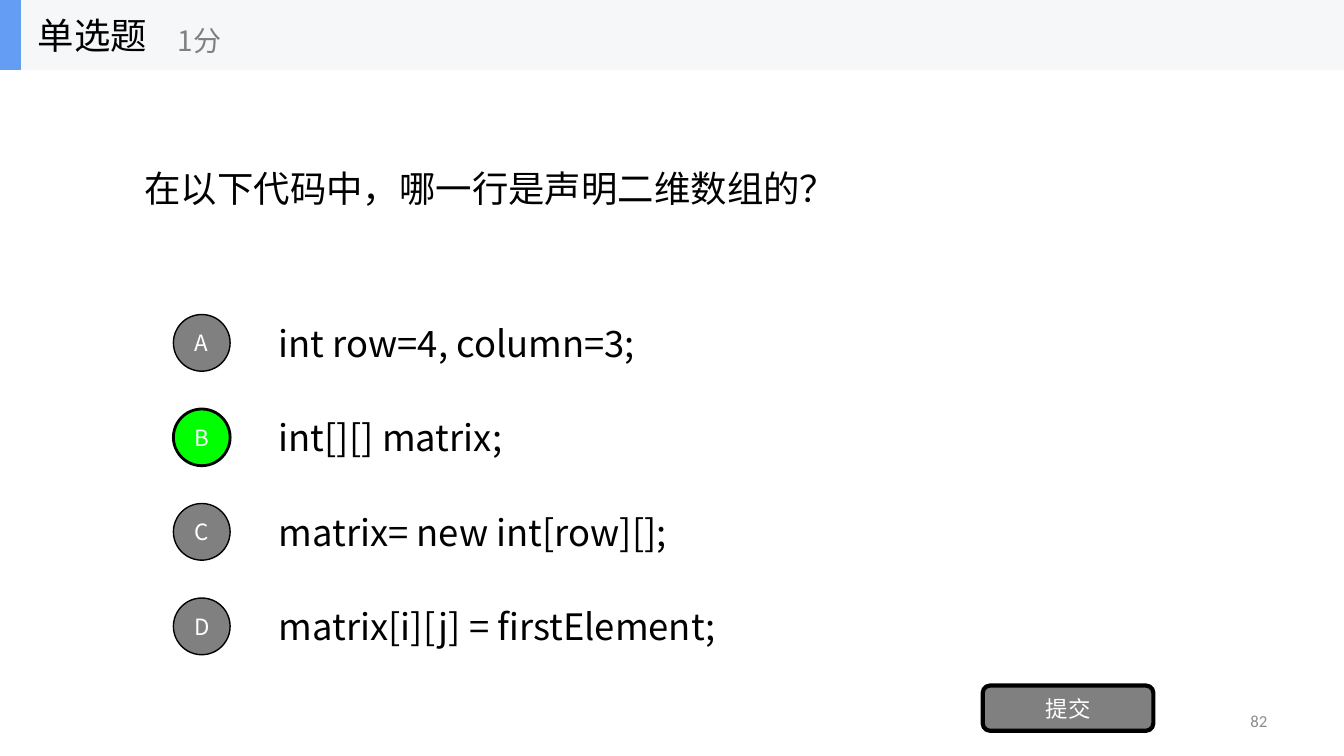
import pptx
import pptx.util
import pptx.dml.color
import pptx.enum.shapes
import pptx.enum.text
import pptx.oxml.ns
from dataclasses import dataclass
from lxml import etree

KIND = pptx.enum.shapes.MSO_SHAPE
ALIGN = pptx.enum.text.PP_ALIGN
WIDE, HIGH = 13.33, 7.5


@dataclass(frozen=True)
class Theme:
    font: str = "Noto Sans CJK SC"
    digit: str = "Calibri"
    ink: str = "000000"
    pale: str = "FFFFFF"
    gray: str = "808080"
    faint: str = "8C8C8C"
    right: str = "00FF00"
    band: str = "F6F7F8"
    blue: str = "639EF4"
    body: int = 26
    score: int = 20
    label: int = 16
    page: int = 12


THEME = Theme()


def color(code):
    return pptx.dml.color.RGBColor.from_string(code)


def grid(col, row, cols, rows):
    """Turn a box on a grid of 100 columns by 100 rows into slide lengths."""
    across, down = WIDE / 100, HIGH / 100
    sizes = (col * across, row * down, cols * across, rows * down)
    return [pptx.util.Inches(size) for size in sizes]


def write(shape, text, size=THEME.body, ink=THEME.ink, font=THEME.font,
          align=ALIGN.LEFT, inset=0.1):
    frame = shape.text_frame
    frame.word_wrap = True
    frame.vertical_anchor = pptx.enum.text.MSO_ANCHOR.MIDDLE
    frame.margin_left = frame.margin_right = pptx.util.Inches(inset)
    frame.margin_top = frame.margin_bottom = 0
    para = frame.paragraphs[0]
    para.alignment = align
    run = para.add_run()
    run.text = text
    run.font.size = pptx.util.Pt(size)
    run.font.name = font
    run.font.color.rgb = color(ink)
    east = etree.SubElement(run.font._element, pptx.oxml.ns.qn("a:ea"))
    east.set("typeface", font)


def label(slide, box, text, **style):
    write(slide.shapes.add_textbox(*grid(*box)), text, **style)


def block(slide, kind, box, fill, line=0):
    shape = slide.shapes.add_shape(kind, *grid(*box))
    shape.shadow.inherit = False
    shape.fill.solid()
    shape.fill.fore_color.rgb = color(fill)
    if line:
        shape.line.color.rgb = color(THEME.ink)
        shape.line.width = pptx.util.Pt(line)
    else:
        shape.line.fill.background()
    return shape


def button(slide, kind, box, text, fill=THEME.gray, line=1):
    shape = block(slide, kind, box, fill, line)
    write(shape, text, size=THEME.label, ink=THEME.pale,
          align=ALIGN.CENTER, inset=0)


def header(slide, title, score):
    block(slide, KIND.RECTANGLE, (0, 0, 100, 9.26), THEME.band)
    block(slide, KIND.RECTANGLE, (0, 0, 1.56, 9.26), THEME.blue)
    label(slide, (2.08, 0, 15.6, 9.26), title)
    label(slide, (12.5, 1.6, 18.75, 7.5), score,
          size=THEME.score, ink=THEME.gray)


def choices(slide, texts, answer):
    top, pitch, size = 41.6, 12.5, 7.5
    for index, (letter, text) in enumerate(zip("ABCD", texts)):
        row = top + index * pitch
        state = {"fill": THEME.right, "line": 2} if letter == answer else {}
        label(slide, (20, row, 60, size), text)
        button(slide, KIND.OVAL, (12.9, row, size * HIGH / WIDE, size),
               letter, **state)


def main():
    deck = pptx.Presentation()
    deck.slide_width = pptx.util.Inches(WIDE)
    deck.slide_height = pptx.util.Inches(HIGH)
    slide = deck.slides.add_slide(deck.slide_layouts[6])
    header(slide, "单选题", "1分")
    label(slide, (10, 21.33, 60, 7.07), "在以下代码中，哪一行是声明二维数组的？")
    choices(slide, ["int row=4, column=3;", "int[][] matrix;",
                    "matrix= new int[row][];",
                    "matrix[i][j] = firstElement;"], answer="B")
    button(slide, KIND.ROUNDED_RECTANGLE, (73.12, 90.67, 12.7, 6),
           "提交", line=3)
    label(slide, (71.7, 92.67, 23.33, 5.33), "82", size=THEME.page,
          ink=THEME.faint, font=THEME.digit, align=ALIGN.RIGHT)
    deck.save("out.pptx")


if __name__ == "__main__":
    main()
